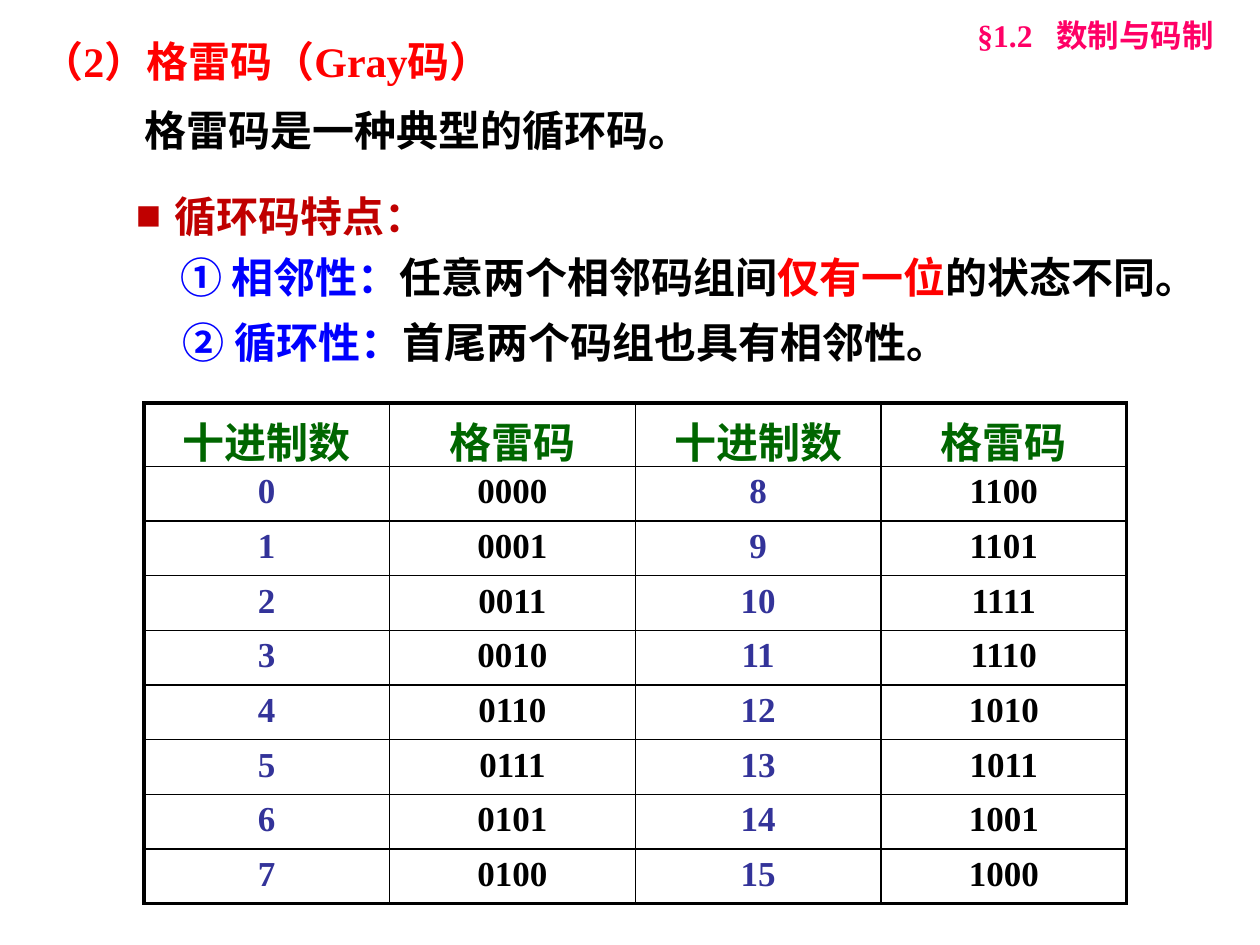
from dataclasses import dataclass
from typing import Optional

from lxml.etree import SubElement
from pptx import Presentation
from pptx.dml.color import RGBColor
from pptx.enum.text import MSO_ANCHOR as Anchor, MSO_AUTO_SIZE as AutoSize, PP_ALIGN as Align
from pptx.oxml.ns import qn
from pptx.util import Pt

COLORS = {
    "black": "000000",
    "red": "FF0000",
    "dark_red": "C00000",
    "blue": "0000FF",
    "pink": "FF0066",
    "green": "006600",
    "indigo": "333399",
}
SERIF = "Times New Roman"
SANS = "Arial"
THIN, THICK = 1, 2.25
HEADER_HEIGHT, ROW_HEIGHT, COLUMN_WIDTH = 36, 31.25, 140.4
HALF = 8


@dataclass(frozen=True)
class Run:
    text: str
    color: str
    size: float = 24
    font: str = SERIF


@dataclass(frozen=True)
class TextLine:
    box: tuple[float, float, float, float]
    runs: tuple[Run, ...]
    line_spacing: float = 1.0
    wrap: bool = True
    margin: float = 0
    bullet: Optional[str] = None
    tab: Optional[float] = None


TITLE = TextLine((16.5, 22.3, 309.6, 30.2), (Run("（2）格雷码（Gray码）", "red"),), 0.8)
LINES = (
    TextLine((70.6, 112.3, 629.3, 28.8), (Run("循环码特点：", "dark_red"),), 0.75,
             margin=22, bullet="■"),
    TextLine((75.6, 61.9, 331.2, 30.2), (Run("格雷码是一种典型的循环码。", "black"),), 0.8,
             wrap=False),
    TextLine((90, 140.4, 601.9, 36.7),
             (Run("① 相邻性：", "blue"), Run("任意两个相邻码组间", "black"),
              Run("仅有一位", "red"), Run("的状态不同。", "black")), margin=6),
    TextLine((97.2, 184.3, 471.6, 28.8),
             (Run("② 循环性：", "blue"), Run("首尾两个码组也具有相邻性。", "black")), 0.75,
             wrap=False),
    TextLine((551.5, 5.8, 160.6, 28.8), (Run("§1.2\t数制与码制", "pink", 18),),
             wrap=False, tab=45),
)


def add_run(paragraph, content: Run) -> None:
    run = paragraph.add_run()
    run.text = content.text
    run.font.name = content.font
    run.font.size = Pt(content.size)
    run.font.bold = True
    run.font.color.rgb = RGBColor.from_string(COLORS[content.color])


def fill_line(shape, line: TextLine) -> None:
    shape.left, shape.top, shape.width, shape.height = (Pt(value) for value in line.box)
    frame = shape.text_frame
    frame.word_wrap = line.wrap
    frame.auto_size = AutoSize.SHAPE_TO_FIT_TEXT
    frame.vertical_anchor = Anchor.TOP
    paragraph = frame.paragraphs[0]
    properties = paragraph._p.get_or_add_pPr()
    if line.margin:
        properties.set("marL", str(Pt(line.margin)))
    if line.bullet:
        properties.set("indent", str(-Pt(line.margin)))
        SubElement(properties, qn("a:buFont"), typeface=SERIF)
        SubElement(properties, qn("a:buChar"), char=line.bullet)
    if line.tab:
        tabs = SubElement(properties, qn("a:tabLst"))
        SubElement(tabs, qn("a:tab"), pos=str(Pt(line.tab)), algn="l")
    paragraph.alignment = Align.LEFT
    paragraph.line_spacing = line.line_spacing
    paragraph.space_before = Pt(0)
    for run in line.runs:
        add_run(paragraph, run)


def set_borders(cell, widths: dict[str, float]) -> None:
    properties = cell._tc.get_or_add_tcPr()
    for side, width in widths.items():
        border = SubElement(properties, qn(f"a:ln{side}"), w=str(Pt(width)))
        fill = SubElement(border, qn("a:solidFill"))
        SubElement(fill, qn("a:srgbClr"), val=COLORS["black"])


def table_rows() -> list[list[Run]]:
    rows = [[Run(text, "green", font=SANS) for text in ("十进制数", "格雷码") * 2]]
    for first in range(HALF):
        row = []
        for number in (first, first + HALF):
            row.append(Run(str(number), "indigo", 20))
            row.append(Run(f"{number ^ (number >> 1):04b}", "black", 20))
        rows.append(row)
    return rows


def add_code_table(slide, left: float, top: float) -> None:
    rows = table_rows()
    last_row, last_column = len(rows) - 1, len(rows[0]) - 1
    frame = slide.shapes.add_table(
        len(rows), len(rows[0]), Pt(left), Pt(top),
        Pt(COLUMN_WIDTH * len(rows[0])), Pt(HEADER_HEIGHT + ROW_HEIGHT * last_row))
    table = frame.table
    table.first_row = table.horz_banding = False
    for column in table.columns:
        column.width = Pt(COLUMN_WIDTH)
    for row_index, row in enumerate(rows):
        table.rows[row_index].height = Pt(ROW_HEIGHT if row_index else HEADER_HEIGHT)
        for column_index, content in enumerate(row):
            cell = table.cell(row_index, column_index)
            set_borders(cell, {
                "L": THIN if column_index else THICK,
                "R": THICK if column_index == last_column else THIN,
                "T": THIN if row_index else THICK,
                "B": THICK if row_index == last_row else THIN,
            })
            cell.fill.background()
            paragraph = cell.text_frame.paragraphs[0]
            paragraph.alignment = Align.CENTER
            add_run(paragraph, content)


def main() -> None:
    presentation = Presentation()
    presentation.slide_width, presentation.slide_height = Pt(720), Pt(540)
    slide = presentation.slides.add_slide(presentation.slide_layouts[5])
    fill_line(slide.shapes.title, TITLE)
    add_code_table(slide, 82.2, 230.4)
    for line in LINES:
        fill_line(slide.shapes.add_textbox(0, 0, 0, 0), line)
    presentation.save("out.pptx")


if __name__ == "__main__":
    main()
